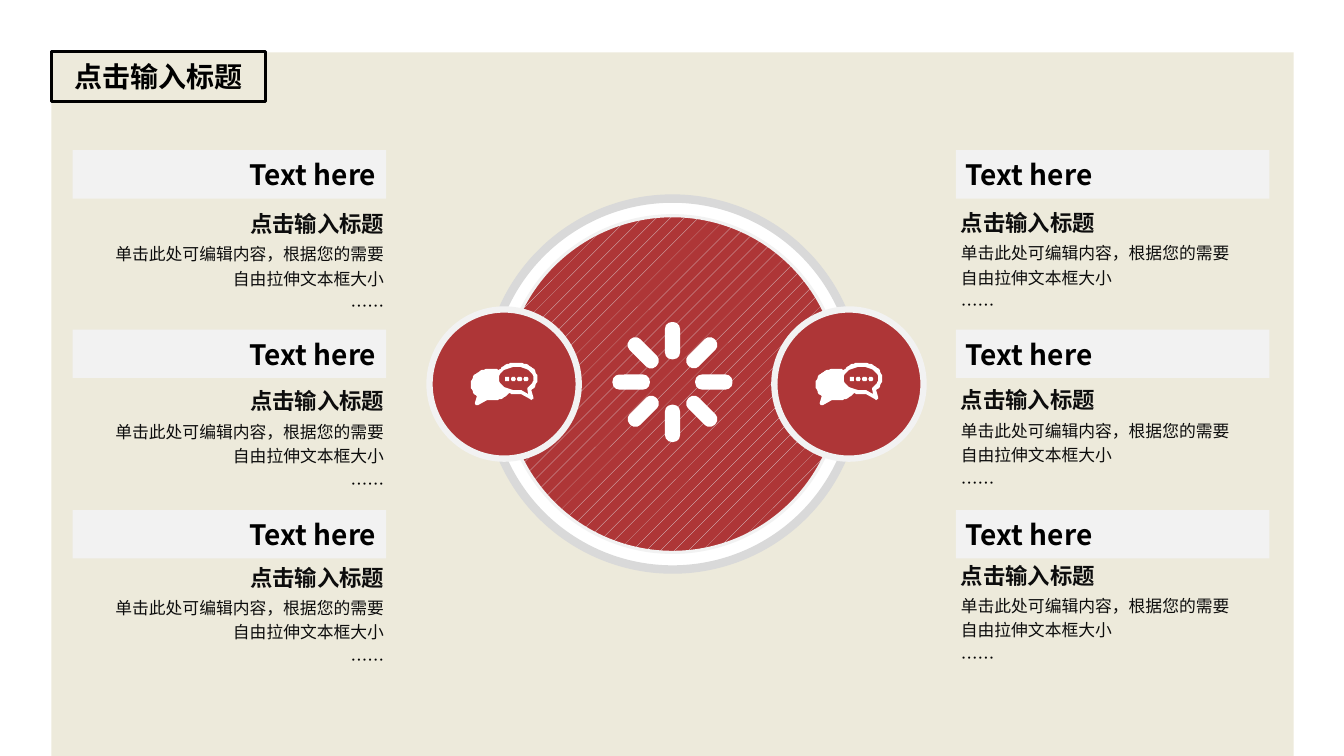
from dataclasses import dataclass
from math import cos, pi, radians, sin

from lxml.etree import SubElement
from pptx import Presentation
from pptx.dml.color import RGBColor
from pptx.enum.dml import MSO_PATTERN
from pptx.enum.shapes import MSO_SHAPE
from pptx.enum.text import MSO_ANCHOR, MSO_AUTO_SIZE, PP_ALIGN
from pptx.oxml.ns import qn
from pptx.util import Inches, Pt


@dataclass(frozen=True)
class Theme:
    font: str = "Noto Sans CJK JP"
    red: str = "AE3637"
    hatch: str = "E4E6EA"
    panel: str = "EDEADB"
    light: str = "F2F2F2"
    ring: str = "D9D9D9"
    white: str = "FFFFFF"
    black: str = "000000"
    ink: str = "0D0D0D"
    heading_size: int = 20
    subtitle_size: int = 16
    body_size: int = 12


@dataclass(frozen=True)
class Column:
    bar_left: float
    caption_left: float
    caption_tops: tuple
    align: PP_ALIGN


@dataclass(frozen=True)
class Disc:
    x: float
    y: float
    diameter: float
    fill: str
    line: str
    line_width: float


THEME = Theme()
TITLE = "点击输入标题"
BAR_TOPS = (1.49, 3.27, 5.06)
COLUMNS = (
    Column(0.72, 1.09, (2.03, 3.79, 5.54), PP_ALIGN.RIGHT),
    Column(9.48, 9.53, (2.02, 3.78, 5.52), PP_ALIGN.LEFT),
)
CAPTION = (
    (TITLE, THEME.subtitle_size, True, THEME.ink),
    ("单击此处可编辑内容，根据您的需要自由拉伸文本框大小", THEME.body_size, False, THEME.ink),
    ("……", THEME.body_size, False, THEME.black),
)
OUTER_DISC = Disc(6.67, 3.81, 3.68, THEME.white, THEME.ring, 6)
HATCHED_DISC = Disc(6.67, 3.81, 3.34, THEME.red, THEME.light, 2.25)
SIDE_DISCS = [Disc(x, 3.81, 1.48, THEME.red, THEME.light, 4.5) for x in (8.42, 5.0)]

# Speech bubbles in hundredths of an inch: pairs are corners, sixes are curves
BUBBLE_OUTLINE = (
    (45, 0), (51, 0, 56, 1, 60, 4), (64, 7, 66, 11, 66, 16), (66, 20, 64, 24, 60, 27),
    (62, 34), (62, 35, 62, 36, 61, 36), (60, 37), (59, 36), (50, 31),
    (48, 31, 47, 31, 45, 31), (43, 31, 40, 31, 38, 30), (37, 31, 36, 32, 35, 33),
    (31, 36, 26, 37, 21, 37), (16, 37), (7, 42), (5, 42), (4, 40), (6, 33),
    (2, 30, 0, 26, 0, 22), (0, 17, 2, 13, 6, 10), (10, 7, 15, 6, 21, 6),
    (23, 6, 26, 6, 28, 7), (29, 6, 30, 5, 31, 4), (35, 1, 40, 0, 45, 0),
)
BUBBLE_INSIDE = (
    (45, 4), (36, 4, 28, 9, 28, 16), (28, 22, 36, 27, 45, 27), (50, 27),
    (57, 31), (56, 26), (56, 26, 56, 25, 57, 24), (60, 22, 62, 19, 62, 16),
    (62, 9, 55, 4, 45, 4),
)


def rgb(color: str) -> RGBColor:
    return RGBColor.from_string(color)


def style(paragraph, size: int, bold: bool, color: str, align: PP_ALIGN) -> None:
    paragraph.alignment = align
    font = paragraph.font
    font.name, font.size, font.bold = THEME.font, Pt(size), bold
    font.color.rgb = rgb(color)
    defaults = paragraph._p.pPr.find(qn("a:defRPr"))
    SubElement(defaults, qn("a:ea")).set("typeface", THEME.font)


def finish(shape, fill: str):
    shape.shadow.inherit = False
    shape.fill.solid()
    shape.fill.fore_color.rgb = rgb(fill)
    shape.line.fill.background()
    return shape


def add_block(slide, kind, left: float, top: float, width: float, height: float, fill: str):
    box = map(Inches, (left, top, width, height))
    return finish(slide.shapes.add_shape(kind, *box), fill)


def add_disc(slide, disc: Disc):
    corner = (disc.x - disc.diameter / 2, disc.y - disc.diameter / 2)
    circle = add_block(slide, MSO_SHAPE.OVAL, *corner, disc.diameter, disc.diameter, disc.fill)
    circle.line.color.rgb = rgb(disc.line)
    circle.line.width = Pt(disc.line_width)
    return circle


def flatten(contour: tuple, steps: int = 8) -> list:
    points = [contour[0]]
    for part in contour[1:]:
        if len(part) == 2:
            points.append(part)
            continue
        x0, y0 = points[-1]
        x1, y1, x2, y2, x3, y3 = part
        for t in (i / steps for i in range(1, steps + 1)):
            a, b, c, d = (1 - t) ** 3, 3 * t * (1 - t) ** 2, 3 * t * t * (1 - t), t ** 3
            points.append((a * x0 + b * x1 + c * x2 + d * x3,
                           a * y0 + b * y1 + c * y2 + d * y3))
    return points


def dot(x: float, y: float, radius: float) -> list:
    angles = [2 * pi * i / 16 for i in range(16)]
    return [(x + radius * cos(a), y + radius * sin(a)) for a in angles]


def add_bubbles(slide, left: float, top: float) -> None:
    dots = [dot(36 + 6.25 * i, 16, 2.3) for i in range(4)]
    contours = [flatten(BUBBLE_OUTLINE), flatten(BUBBLE_INSIDE), *dots]
    builder = slide.shapes.build_freeform(*contours[0][0], scale=Inches(0.01))
    for i, points in enumerate(contours):
        if i:
            builder.move_to(*points[0])
        builder.add_line_segments(points[1:], close=True)
    finish(builder.convert_to_shape(Inches(left), Inches(top)), THEME.white)


def add_spokes(slide, x: float, y: float) -> None:
    width, length, radius = 0.15, 0.37, 0.41
    for angle in range(0, 360, 45):
        left = x + radius * sin(radians(angle)) - width / 2
        top = y - radius * cos(radians(angle)) - length / 2
        spoke = add_block(slide, MSO_SHAPE.ROUNDED_RECTANGLE, left, top, width, length, THEME.white)
        spoke.adjustments[0] = 0.45
        spoke.rotation = angle


def add_heading_bar(slide, column: Column, top: float) -> None:
    bar = add_block(slide, MSO_SHAPE.RECTANGLE, column.bar_left, top, 3.11, 0.48, THEME.light)
    bar.text_frame.vertical_anchor = MSO_ANCHOR.MIDDLE
    bar.text_frame.text = "Text here"
    style(bar.text_frame.paragraphs[0], THEME.heading_size, True, THEME.black, column.align)


def add_caption(slide, column: Column, top: float) -> None:
    box = map(Inches, (column.caption_left, top, 2.72, 1.13))
    frame = slide.shapes.add_textbox(*box).text_frame
    frame.word_wrap = True
    frame.margin_left = frame.margin_right = frame.margin_top = frame.margin_bottom = 0
    frame.text = "\n".join(text for text, *_ in CAPTION)
    for i, (paragraph, (_, size, bold, color)) in enumerate(zip(frame.paragraphs, CAPTION)):
        paragraph.line_spacing = 1.2
        if i:
            paragraph.space_before = Pt(0.2 * size)
        style(paragraph, size, bold, color, column.align)


def place_title(slide) -> None:
    title = slide.shapes.title
    title.left, title.top, title.width, title.height = map(Inches, (0.51, 0.51, 2.12, 0.5))
    title.line.color.rgb = rgb(THEME.black)
    title.line.width = Pt(2.25)
    frame = title.text_frame
    frame.text = TITLE
    frame.auto_size = MSO_AUTO_SIZE.NONE
    frame.vertical_anchor = MSO_ANCHOR.MIDDLE
    style(frame.paragraphs[0], THEME.heading_size, True, THEME.black, PP_ALIGN.CENTER)
    # Bring the title in front of the panel
    title.element.getparent().append(title.element)


def main() -> None:
    deck = Presentation()
    deck.slide_width, deck.slide_height = Inches(13.33), Inches(7.5)
    slide = deck.slides.add_slide(deck.slide_layouts[5])

    # Panel and title
    add_block(slide, MSO_SHAPE.RECTANGLE, 0.51, 0.52, 12.32, 6.98, THEME.panel)
    place_title(slide)

    # Central emblem
    add_disc(slide, OUTER_DISC)
    hatched = add_disc(slide, HATCHED_DISC)
    hatched.fill.patterned()
    hatched.fill.pattern = MSO_PATTERN.PERCENT_5
    hatched.fill.fore_color.rgb = rgb(THEME.hatch)
    hatched.fill.back_color.rgb = rgb(THEME.red)
    for disc in SIDE_DISCS:
        add_disc(slide, disc)
        add_bubbles(slide, disc.x - 0.33, disc.y - 0.21)
    add_spokes(slide, 6.67, 3.79)

    # Text columns
    for column in COLUMNS:
        for bar_top, caption_top in zip(BAR_TOPS, column.caption_tops):
            add_heading_bar(slide, column, bar_top)
            add_caption(slide, column, caption_top)

    deck.save("out.pptx")


if __name__ == "__main__":
    main()
